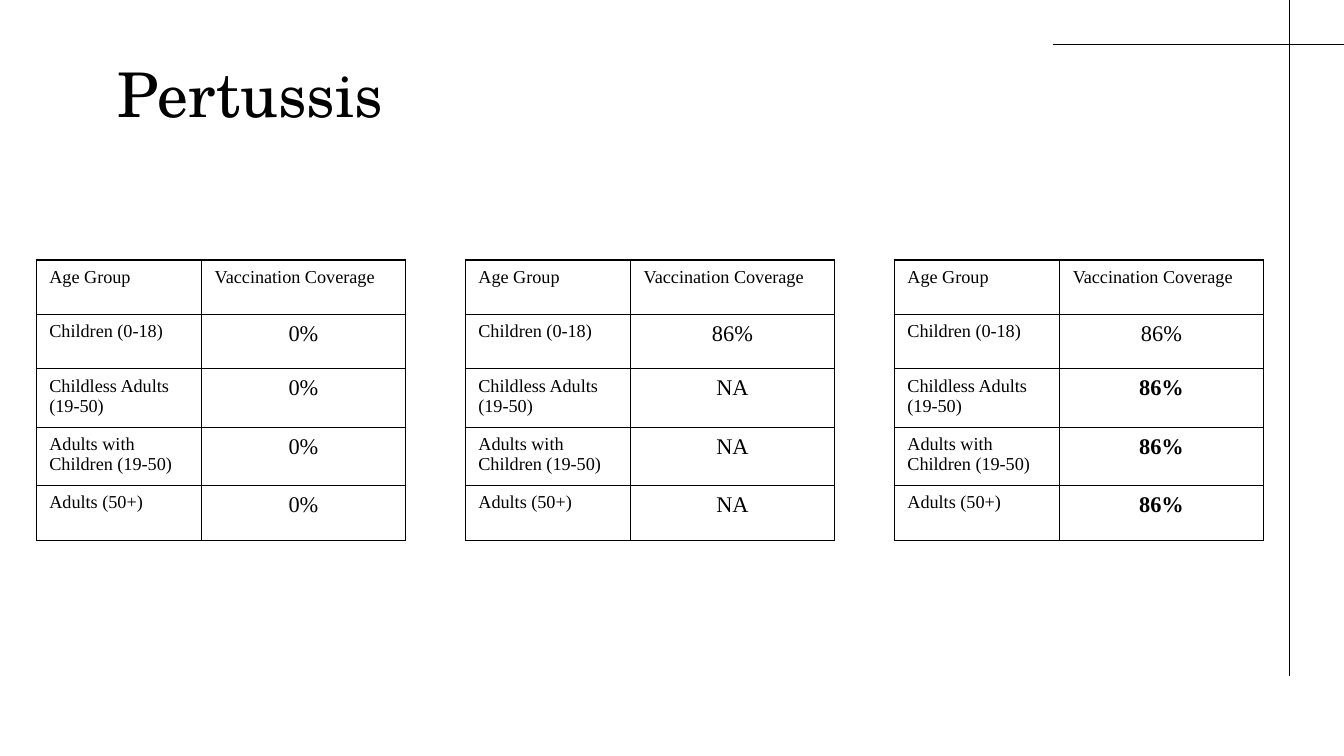
from dataclasses import dataclass

from lxml import etree
from pptx import Presentation
from pptx.dml.color import RGBColor
from pptx.enum import shapes, text
from pptx.oxml import ns
from pptx.util import Inches, Pt

COLORS = {"ink": "000000", "paper": "FFFFFF"}
TITLE_FONT = "TeX Gyre Schola"
TABLE_FONT = "Times New Roman"
HEADERS = ("Age Group", "Vaccination Coverage")
AGE_GROUPS = (
    "Children (0-18)",
    "Childless Adults (19-50)",
    "Adults with Children (19-50)",
    "Adults (50+)",
)
COLUMN_WIDTHS = (1.64, 2.02)
ROW_HEIGHTS = (0.54, 0.54, 0.58, 0.58, 0.54)
TABLE_TOP = 2.58
FIRST_TABLE_LEFT = 0.36
TABLE_STEP = 4.255


@dataclass(frozen=True)
class Rule:
    start: tuple[float, float]
    end: tuple[float, float]


@dataclass(frozen=True)
class Coverage:
    values: tuple[str, ...]
    bold_rows: tuple[int, ...] = ()


RULES = (
    Rule((10.44, 0.44), (13.33, 0.44)),
    Rule((12.79, 6.71), (12.79, 0)),
)
COVERAGES = (
    Coverage(("0%",) * 4),
    Coverage(("86%", "NA", "NA", "NA")),
    Coverage(("86%",) * 4, bold_rows=(2, 3, 4)),
)


def color(name: str) -> RGBColor:
    return RGBColor.from_string(COLORS[name])


def add_span(para, content: str, font: str, size: float, bold: bool = False) -> None:
    span = para.add_run()
    span.text = content
    span.font.name = font
    span.font.size = Pt(size)
    span.font.bold = bold
    span.font.color.rgb = color("ink")


def add_rule(page, rule: Rule) -> None:
    points = [Inches(value) for value in rule.start + rule.end]
    line = page.shapes.add_connector(shapes.MSO_CONNECTOR.STRAIGHT, *points)
    line.line.color.rgb = color("ink")
    line.line.width = Pt(0.75)
    etree.SubElement(line._element.spPr, ns.qn("a:effectLst"))


def format_title(page) -> None:
    box = page.shapes.title
    box.left, box.top = Inches(1.04), Inches(0.51)
    box.width, box.height = Inches(11.73), Inches(1.54)
    frame = box.text_frame
    frame.margin_left = frame.margin_right = Inches(0.13)
    frame.margin_top = frame.margin_bottom = Inches(0.13)
    frame.vertical_anchor = text.MSO_ANCHOR.TOP
    frame.word_wrap = True
    para = frame.paragraphs[0]
    para.alignment = text.PP_ALIGN.LEFT
    para.line_spacing = 0.9
    add_span(para, "Pertussis", TITLE_FONT, 44)


def add_borders(cell) -> None:
    properties = cell._tc.get_or_add_tcPr()
    for position, side in enumerate(("lnL", "lnR", "lnT", "lnB")):
        border = etree.Element(ns.qn(f"a:{side}"), w=str(Pt(1)))
        fill = etree.SubElement(border, ns.qn("a:solidFill"))
        etree.SubElement(fill, ns.qn("a:srgbClr"), val=COLORS["ink"])
        properties.insert(position, border)


def fill_cell(cell, content: str, is_value: bool, bold: bool) -> None:
    cell.fill.background()
    cell.margin_left = cell.margin_right = Inches(0.13)
    cell.margin_top = cell.margin_bottom = Inches(0.07)
    cell.vertical_anchor = text.MSO_ANCHOR.TOP
    para = cell.text_frame.paragraphs[0]
    para.alignment = text.PP_ALIGN.CENTER if is_value else text.PP_ALIGN.LEFT
    add_span(para, content, TABLE_FONT, 16 if is_value else 13, bold)
    add_borders(cell)


def add_coverage_table(page, left: float, coverage: Coverage) -> None:
    rows = (HEADERS, *zip(AGE_GROUPS, coverage.values))
    table = page.shapes.add_table(
        len(rows), len(HEADERS), Inches(left), Inches(TABLE_TOP),
        Inches(sum(COLUMN_WIDTHS)), Inches(sum(ROW_HEIGHTS)),
    ).table
    table.first_row = False
    table.horz_banding = False
    for column, width in zip(table.columns, COLUMN_WIDTHS):
        column.width = Inches(width)
    for row, height in zip(table.rows, ROW_HEIGHTS):
        row.height = Inches(height)
    for row_index, row in enumerate(rows):
        for column_index, content in enumerate(row):
            is_value = row_index > 0 and column_index == 1
            bold = is_value and row_index in coverage.bold_rows
            fill_cell(table.cell(row_index, column_index), content, is_value, bold)


def main() -> None:
    deck = Presentation()
    deck.slide_width, deck.slide_height = Inches(13.33), Inches(7.5)
    page = deck.slides.add_slide(deck.slide_layouts[5])
    page.background.fill.solid()
    page.background.fill.fore_color.rgb = color("paper")
    for rule in RULES:
        add_rule(page, rule)
    format_title(page)
    for index, coverage in enumerate(COVERAGES):
        add_coverage_table(page, FIRST_TABLE_LEFT + index * TABLE_STEP, coverage)
    deck.save("out.pptx")


if __name__ == "__main__":
    main()
